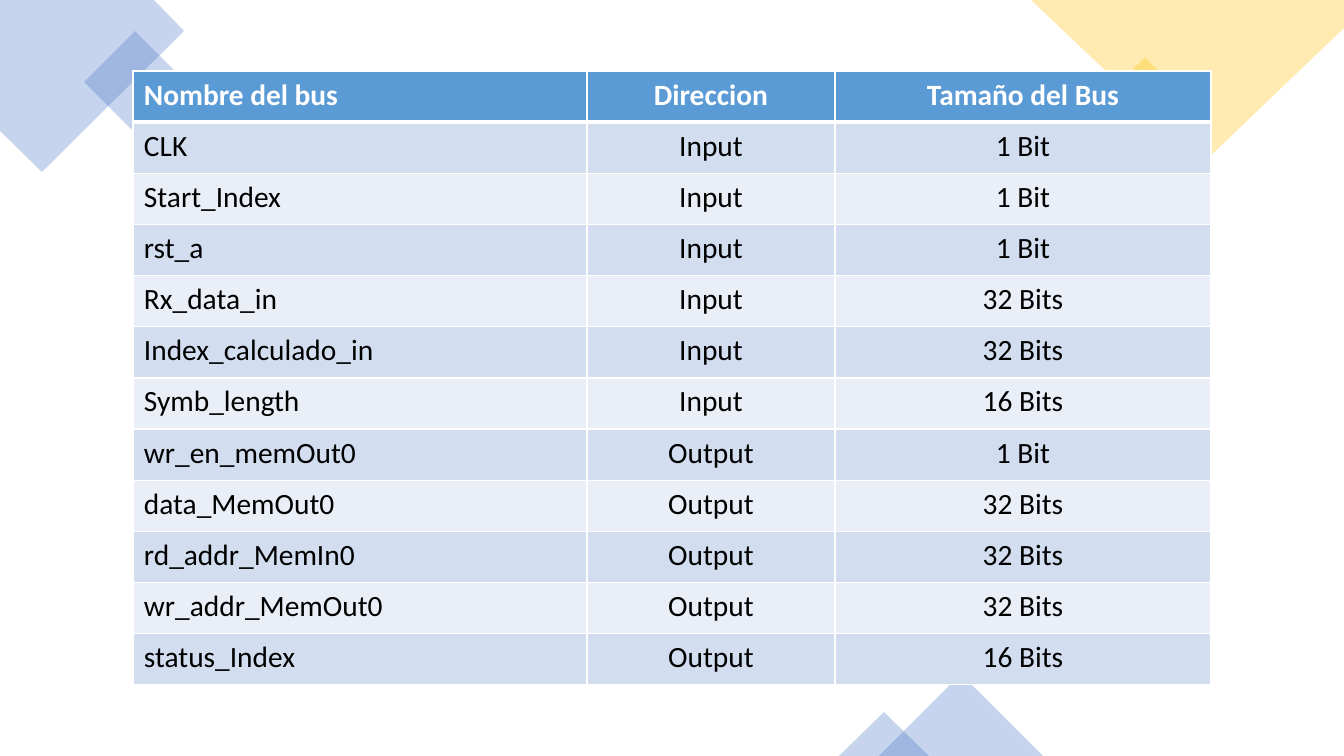
"""Builds a slide with a table of bus names, directions and sizes."""
import lxml.etree
import pptx
import pptx.dml.color
import pptx.enum.shapes
import pptx.enum.text
import pptx.oxml.ns
import pptx.util

SCALE = 12192000 / 1344
BLUE = pptx.dml.color.RGBColor(0x44, 0x72, 0xC4)
GOLD = pptx.dml.color.RGBColor(0xFF, 0xC0, 0x00)
HEADER = pptx.dml.color.RGBColor(0x5B, 0x9B, 0xD5)
BAND_DARK = pptx.dml.color.RGBColor(0xD2, 0xDE, 0xEF)
BAND_LIGHT = pptx.dml.color.RGBColor(0xEA, 0xEF, 0xF7)
WHITE = pptx.dml.color.RGBColor(0xFF, 0xFF, 0xFF)
BLACK = pptx.dml.color.RGBColor(0x00, 0x00, 0x00)
qn = pptx.oxml.ns.qn
MSO_SHAPE = pptx.enum.shapes.MSO_SHAPE
PP_ALIGN = pptx.enum.text.PP_ALIGN


def px(length):
    return pptx.util.Emu(round(length * SCALE))


def tint(ornament, color):
    ornament.shadow.inherit = False
    ornament.line.fill.background()
    ornament.fill.solid()
    ornament.fill.fore_color.rgb = color
    rgb = ornament.fill._xPr.find(qn("a:solidFill")).find(qn("a:srgbClr"))
    lxml.etree.SubElement(rgb, qn("a:alpha"), val="30000")


deck = pptx.Presentation()
deck.slide_width = px(1344)
deck.slide_height = px(756)
slide = deck.slides.add_slide(deck.slide_layouts[6])

corners = [
    ([(154, 0), (0, 0), (0, 131), (42, 172), (184, 31)], BLUE),
    ([(1344, 0), (1031, 0), (1203, 163), (1344, 28)], GOLD),
]
for points, color in corners:
    outline = slide.shapes.build_freeform(*points[0], scale=SCALE)
    outline.add_line_segments(points[1:], close=True)
    tint(outline.convert_to_shape(), color)

ornaments = [
    (MSO_SHAPE.RECTANGLE, 99, 46, 72, 72, 315, BLUE),
    (MSO_SHAPE.RECTANGLE, 1107, 73, 76, 76, 315, GOLD),
    (MSO_SHAPE.ISOSCELES_TRIANGLE, 879, 674, 164, 82, 0, BLUE),
    (MSO_SHAPE.ISOSCELES_TRIANGLE, 839, 712, 90, 44, 0, BLUE),
]
for kind, left, top, width, height, angle, color in ornaments:
    ornament = slide.shapes.add_shape(kind, px(left), px(top), px(width), px(height))
    ornament.rotation = angle
    tint(ornament, color)

buses = [
    ("Nombre del bus", "Direccion", "Tamaño del Bus"),
    ("CLK", "Input", "1 Bit"),
    ("Start_Index", "Input", "1 Bit"),
    ("rst_a", "Input", "1 Bit"),
    ("Rx_data_in", "Input", "32 Bits"),
    ("Index_calculado_in", "Input", "32 Bits"),
    ("Symb_length", "Input", "16 Bits"),
    ("wr_en_memOut0", "Output", "1 Bit"),
    ("data_MemOut0", "Output", "32 Bits"),
    ("rd_addr_MemIn0", "Output", "32 Bits"),
    ("wr_addr_MemOut0", "Output", "32 Bits"),
    ("status_Index", "Output", "16 Bits"),
]
column_widths = [454, 248, 376]
bus_table = slide.shapes.add_table(
    len(buses), len(column_widths), px(133), px(71), px(sum(column_widths)), px(614)
).table
for column, width in zip(bus_table.columns, column_widths):
    column.width = px(width)

header_font = {"name": "Calibri", "size": pptx.util.Pt(21), "bold": True}
body_font = header_font | {"bold": False}
margins = {
    "margin_left": px(11),
    "margin_right": px(11),
    "margin_top": px(6),
    "margin_bottom": px(6),
}
for row, bus in enumerate(buses):
    band = HEADER if row == 0 else BAND_DARK if row % 2 else BAND_LIGHT
    for col, text in enumerate(bus):
        cell = bus_table.cell(row, col)
        cell.text = text
        cell.fill.solid()
        cell.fill.fore_color.rgb = band
        for name, value in margins.items():
            setattr(cell, name, value)
        paragraph = cell.text_frame.paragraphs[0]
        paragraph.alignment = PP_ALIGN.CENTER if col else PP_ALIGN.LEFT
        font = paragraph.runs[0].font
        for name, value in (body_font if row else header_font).items():
            setattr(font, name, value)
        font.color.rgb = BLACK if row else WHITE
        properties = cell._tc.get_or_add_tcPr()
        for place, side in enumerate(("lnL", "lnR", "lnT", "lnB")):
            below_header = (row, side) in ((0, "lnB"), (1, "lnT"))
            border = lxml.etree.Element(qn("a:" + side))
            border.set("w", str(pptx.util.Pt(3 if below_header else 1)))
            paint = lxml.etree.SubElement(border, qn("a:solidFill"))
            lxml.etree.SubElement(paint, qn("a:srgbClr"), val=str(WHITE))
            properties.insert(place, border)

deck.save("out.pptx")
